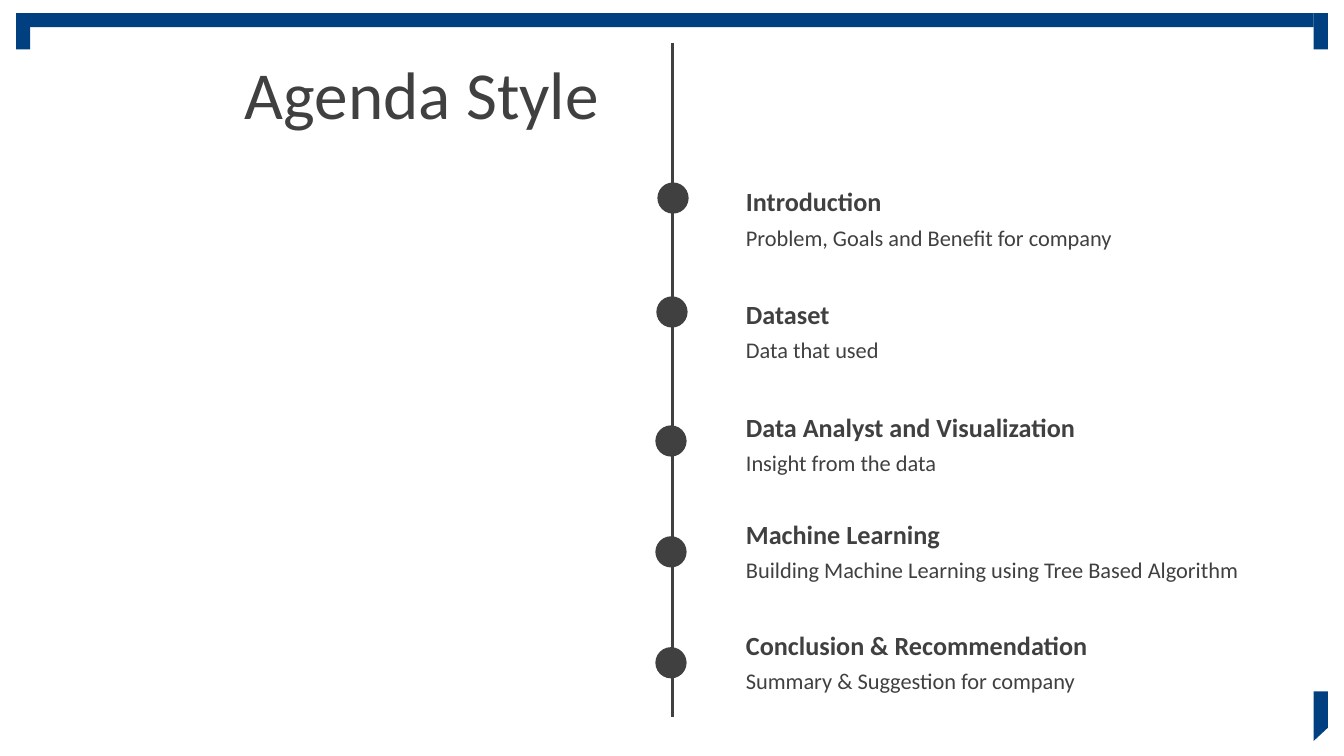
import dataclasses

import pptx
import pptx.dml.color
import pptx.enum.shapes
import pptx.enum.text
import pptx.oxml
import pptx.oxml.ns
import pptx.util
from pptx.util import Inches

COLORS = {"frame": "003F80", "ink": "404040"}
FONT = "Calibri"
SHAPES = pptx.enum.shapes.MSO_SHAPE
ALIGN = pptx.enum.text.PP_ALIGN

DOT_SIZE = 0.31
BAR = 0.14
TEXT_LEFT, TEXT_WIDTH = 7.3, 5.14
DETAIL_DROP = 0.38


@dataclasses.dataclass(frozen=True)
class AgendaItem:
    heading: str
    detail: str
    text_top: float
    dot_left: float
    dot_top: float


AGENDA = [
    AgendaItem("Introduction", "Problem, Goals and Benefit for company", 1.79, 6.52, 1.81),
    AgendaItem("Dataset", "Data that used", 2.91, 6.51, 2.94),
    AgendaItem("Data Analyst and Visualization", "Insight from the data", 4.03, 6.5, 4.22),
    AgendaItem("Machine Learning", "Building Machine Learning using Tree Based Algorithm",
               5.09, 6.5, 5.32),
    AgendaItem("Conclusion & Recommendation", "Summary & Suggestion for company",
               6.19, 6.5, 6.42),
]


def rgb(name: str) -> pptx.dml.color.RGBColor:
    return pptx.dml.color.RGBColor.from_string(COLORS[name])


def paint(shape, color: str) -> None:
    shape.shadow.inherit = False
    shape.fill.solid()
    shape.fill.fore_color.rgb = rgb(color)
    shape.line.fill.background()


def add_solid(page, kind, left: float, top: float, width: float, height: float,
              color: str) -> None:
    shape = page.shapes.add_shape(kind, Inches(left), Inches(top), Inches(width), Inches(height))
    paint(shape, color)


def add_text(page, text: str, left: float, top: float, width: float, height: float, *,
             size: float, bold: bool = False, align=ALIGN.LEFT,
             anchor=pptx.enum.text.MSO_ANCHOR.TOP,
             fit=pptx.enum.text.MSO_AUTO_SIZE.SHAPE_TO_FIT_TEXT) -> None:
    box = page.shapes.add_textbox(Inches(left), Inches(top), Inches(width), Inches(height))
    frame = box.text_frame
    frame.word_wrap = True
    frame.auto_size = fit
    frame.vertical_anchor = anchor
    para = frame.paragraphs[0]
    para.alignment = align
    span = para.add_run()
    span.text = text
    span.font.name = FONT
    span.font.size = pptx.util.Pt(size)
    span.font.bold = bold
    span.font.color.rgb = rgb("ink")


def add_frame(page) -> None:
    # Top bar with a short leg at each end
    add_solid(page, SHAPES.RECTANGLE, 0.16, 0.13, 12.87, BAR, "frame")
    for left in (0.16, 13.03):
        add_solid(page, SHAPES.RECTANGLE, left, 0.13, BAR, 0.36, "frame")

    # Slanted tab at the bottom right
    corners = [(13.03, 6.86), (13.17, 6.86), (13.17, 7.22), (13.03, 7.35)]
    points = [(Inches(x), Inches(y)) for x, y in corners]
    builder = page.shapes.build_freeform(*points[0])
    builder.add_line_segments(points[1:], close=True)
    paint(builder.convert_to_shape(), "frame")


def add_timeline(page) -> None:
    line = page.shapes.add_connector(pptx.enum.shapes.MSO_CONNECTOR.STRAIGHT,
                                     Inches(6.67), Inches(0.43), Inches(6.67), Inches(7.11))
    line.line.color.rgb = rgb("ink")
    line.line.width = pptx.util.Pt(2)
    properties = line._element.spPr
    properties.append(properties.makeelement(pptx.oxml.ns.qn("a:effectLst"), {}))


def add_item(page, item: AgendaItem) -> None:
    add_solid(page, SHAPES.FLOWCHART_CONNECTOR, item.dot_left, item.dot_top,
              DOT_SIZE, DOT_SIZE, "ink")
    add_text(page, item.heading, TEXT_LEFT, item.text_top, TEXT_WIDTH, 0.42,
             size=18.7, bold=True)
    add_text(page, item.detail, TEXT_LEFT, item.text_top + DETAIL_DROP, TEXT_WIDTH, 0.37,
             size=16)


def main() -> None:
    deck = pptx.Presentation()
    deck.slide_width, deck.slide_height = Inches(13.33), Inches(7.5)
    page = deck.slides.add_slide(deck.slide_layouts[6])

    add_frame(page)
    add_text(page, "Agenda Style", 0, 0.5, 6.04, 0.84, size=48, align=ALIGN.RIGHT,
             anchor=pptx.enum.text.MSO_ANCHOR.MIDDLE,
             fit=pptx.enum.text.MSO_AUTO_SIZE.NONE)
    add_timeline(page)
    for item in AGENDA:
        add_item(page, item)

    deck.save("out.pptx")


if __name__ == "__main__":
    main()
